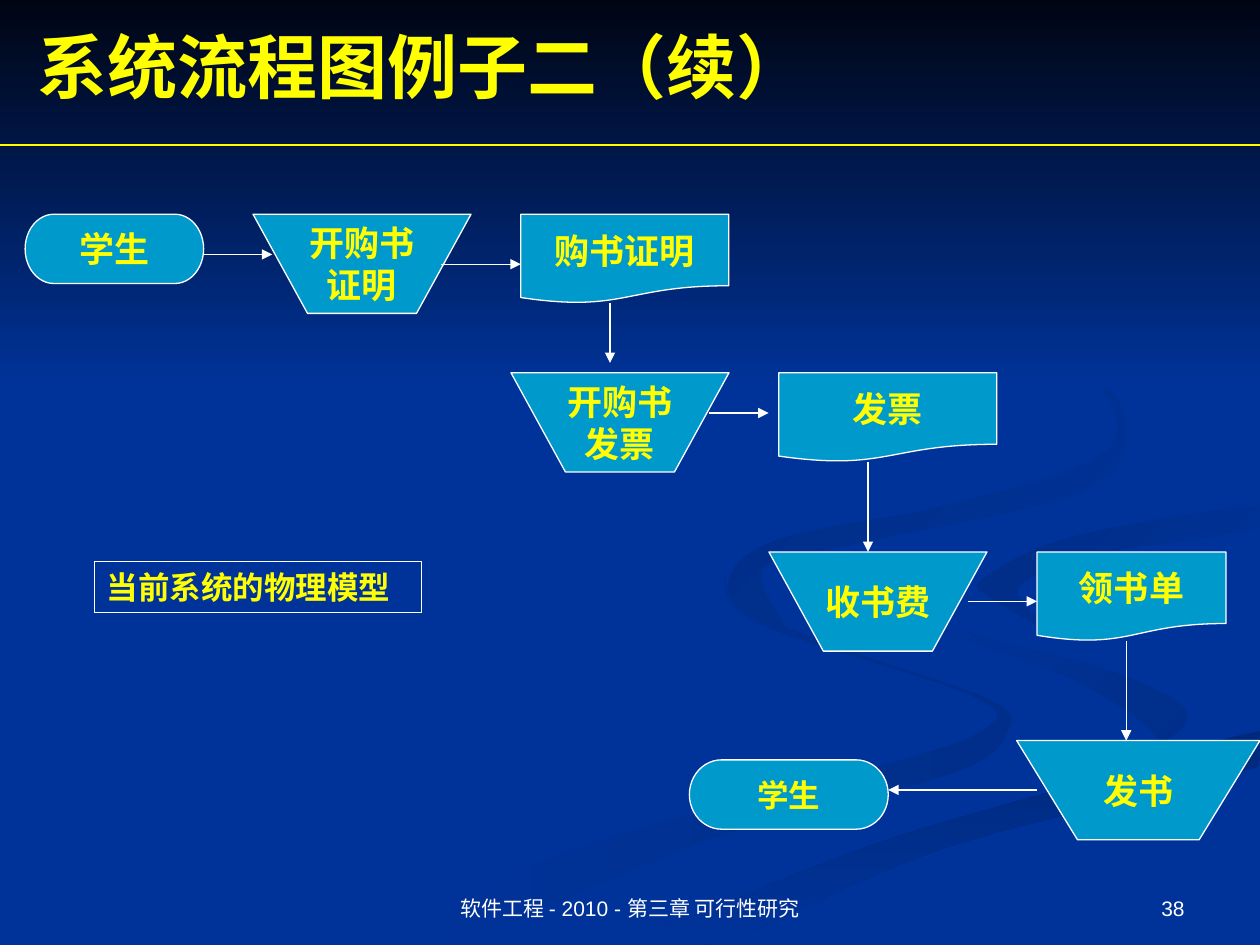
from lxml import etree
from pptx import Presentation
from pptx.dml.color import RGBColor
from pptx.enum.shapes import MSO_CONNECTOR, MSO_SHAPE
from pptx.enum.text import MSO_ANCHOR, PP_ALIGN
from pptx.oxml.ns import qn
from pptx.util import Pt

TERMINATOR = MSO_SHAPE.FLOWCHART_TERMINATOR
DOCUMENT = MSO_SHAPE.FLOWCHART_DOCUMENT
RECTANGLE = MSO_SHAPE.RECTANGLE
STRAIGHT = MSO_CONNECTOR.STRAIGHT
TOP, MIDDLE, BOTTOM = MSO_ANCHOR.TOP, MSO_ANCHOR.MIDDLE, MSO_ANCHOR.BOTTOM
LEFT, CENTER, RIGHT = PP_ALIGN.LEFT, PP_ALIGN.CENTER, PP_ALIGN.RIGHT

COLORS = {
    "background": "003399", "band_top": "000514", "node": "0099CC",
    "text": "FFFF00", "line": "FFFFFF",
    "shade_a": "002E8A", "shade_b": "00297C", "shade_c": "002C85", "shade_d": "002B81",
}
SLIDE_WIDTH, SLIDE_HEIGHT = 720, 540
LINE_WIDTH = 0.75
CURVE_STEPS = 6
ROW_1, ROW_2, ROW_3, ROW_4 = 122.4, 213, 315.4, 423.2
STEP_HEIGHT, DOCUMENT_HEIGHT, TERMINATOR_HEIGHT = 56.7, 51, 39.6

# Background ribbons: first colour, last colour, gradient angle, bends of the outline
RIBBONS = [
    ("shade_a", "background", 180, [
        (414, 330), (428, 349), (491, 374), (566, 400), (576, 418), (544, 442), (406, 479),
        (260, 539), (216, 539), (330, 485), (492, 441), (562, 417), (554, 397), (433, 356)]),
    ("shade_a", "background", 135, [
        (521, 334), (546, 359), (639, 385), (679, 410),
        (644, 436), (661, 421), (615, 389), (532, 356)]),
    ("shade_b", "background", 270, [
        (362, 539), (410, 518), (501, 482), (598, 453),
        (719, 418), (719, 438), (541, 484), (411, 539)]),
    ("background", "shade_c", 135, [
        (562, 331), (612, 307), (719, 289), (719, 302),
        (632, 316), (582, 335), (595, 357), (566, 341)]),
    ("background", "shade_d", 135, [
        (549, 168), (622, 210), (644, 248), (616, 282), (492, 310), (436, 325),
        (448, 360), (416, 337), (443, 309), (549, 287), (635, 255), (616, 205)]),
]

# Flowchart nodes: text, left, top, width
TERMINATORS = [("学生", 14.4, ROW_1, 102, 20), ("学生", 394, 434.2, 113.6, 18)]
STEPS = [
    (["开购书", "证明"], 144.6, ROW_1, 124.6),
    (["开购书", "发票"], 292, ROW_2, 124.6),
    (["收书费"], 439.4, ROW_3, 124.6),
    (["发书"], 581, ROW_4, 139),
]
DOCUMENTS = [
    ("购书证明", 297.6, ROW_1, 118.8),
    ("发票", 445, ROW_2, 124.6),
    ("领书单", 592.6, ROW_3, 108),
]
# Arrows: start x, start y, length (negative runs to the left)
ACROSS = [(116, 145.4, 39.6), (252, 151, 45.6), (405.4, 236, 33.8),
          (553, 343.6, 39.6), (592.6, 451.4, -85)]
DOWN = [(348.6, 173.4, 34), (496, 264, 51.4), (643.6, 366.4, 56.8)]


def rgb(name):
    return RGBColor.from_string(COLORS[name])


def smooth_outline(bends):
    """Closed Catmull-Rom curve through the bends, kept on the slide."""
    points = []
    for index in range(len(bends)):
        corners = [bends[(index + shift) % len(bends)] for shift in (-1, 0, 1, 2)]
        for step in range(CURVE_STEPS):
            t = step / CURVE_STEPS
            x, y = (
                b + t * (c - a + t * (2 * a - 5 * b + 4 * c - d
                                      + t * (3 * (b - c) + d - a))) / 2
                for a, b, c, d in zip(*corners))
            points.append((min(x, SLIDE_WIDTH), min(y, SLIDE_HEIGHT)))
    return points


def add_outline(slide, points):
    vertices = [(Pt(x), Pt(y)) for x, y in points]
    builder = slide.shapes.build_freeform(*vertices[0])
    builder.add_line_segments(vertices[1:], close=True)
    shape = builder.convert_to_shape()
    shape.shadow.inherit = False
    return shape


def add_preset(slide, kind, left, top, width, height):
    shape = slide.shapes.add_shape(kind, Pt(left), Pt(top), Pt(width), Pt(height))
    shape.shadow.inherit = False
    return shape


def fill_gradient(shape, first, last, angle):
    shape.line.fill.background()
    shape.fill.gradient()
    shape.fill.gradient_angle = angle
    for stop, name in zip(shape.fill.gradient_stops, (first, last)):
        stop.color.rgb = rgb(name)


def style_line(line, color="line"):
    line.color.rgb = rgb(color)
    line.width = Pt(LINE_WIDTH)


def write_text(shape, lines, size, align=CENTER, anchor=MIDDLE, wrap=False,
               color="text", name="Times New Roman", bold=True):
    frame = shape.text_frame
    frame.word_wrap = wrap
    frame.vertical_anchor = anchor
    frame.text = "\n".join(lines)
    font_values = {"size": Pt(size), "name": name, "bold": bold}
    for paragraph in frame.paragraphs:
        paragraph.alignment = align
        for run in paragraph.runs:
            for attribute, value in font_values.items():
                setattr(run.font, attribute, value)
            run.font.color.rgb = rgb(color)


def add_text_box(slide, text, left, top, width, height, size, **style):
    box = slide.shapes.add_textbox(Pt(left), Pt(top), Pt(width), Pt(height))
    write_text(box, [text], size, wrap=True, **style)


def style_node(shape, lines, size=20):
    shape.fill.solid()
    shape.fill.fore_color.rgb = rgb("node")
    style_line(shape.line)
    write_text(shape, lines, size)


def add_step(slide, lines, left, top, width):
    inset, right, bottom = width / 4, left + width, top + STEP_HEIGHT
    shape = add_outline(slide, [(left, top), (right, top),
                                (right - inset, bottom), (left + inset, bottom)])
    style_node(shape, lines)


def add_line(slide, x1, y1, x2, y2, color="line", arrow=True):
    connector = slide.shapes.add_connector(STRAIGHT, Pt(x1), Pt(y1), Pt(x2), Pt(y2))
    style_line(connector.line, color)
    properties = connector._element.spPr
    if arrow:
        etree.SubElement(properties.find(qn("a:ln")), qn("a:tailEnd"), type="triangle")
    etree.SubElement(properties, qn("a:effectLst"))


def main():
    presentation = Presentation()
    presentation.slide_width, presentation.slide_height = Pt(SLIDE_WIDTH), Pt(SLIDE_HEIGHT)
    slide = presentation.slides.add_slide(presentation.slide_layouts[6])

    # Background with ribbons and a dark band on top
    slide.background.fill.solid()
    slide.background.fill.fore_color.rgb = rgb("background")
    for first, last, angle, bends in RIBBONS:
        fill_gradient(add_outline(slide, smooth_outline(bends)), first, last, angle)
    band = add_preset(slide, RECTANGLE, 0, 0, SLIDE_WIDTH, 221.8)
    fill_gradient(band, "band_top", "background", 270)

    # Title and rule
    add_text_box(slide, "系统流程图例子二（续）", 14.4, 10, 648, 55.4, 40, align=LEFT)
    add_line(slide, 0, 82.8, SLIDE_WIDTH, 82.8, color="text", arrow=False)

    # Flowchart
    for text, left, top, width, size in TERMINATORS:
        shape = add_preset(slide, TERMINATOR, left, top, width, TERMINATOR_HEIGHT)
        style_node(shape, [text], size)
    for step in STEPS:
        add_step(slide, *step)
    for text, left, top, width in DOCUMENTS:
        style_node(add_preset(slide, DOCUMENT, left, top, width, DOCUMENT_HEIGHT), [text])
    for x, y, length in ACROSS:
        add_line(slide, x, y, x + length, y)
    for x, y, length in DOWN:
        add_line(slide, x, y, x, y + length)

    # Caption
    caption = add_preset(slide, RECTANGLE, 54, 321, 187, 29)
    caption.fill.background()
    style_line(caption.line)
    write_text(caption, ["当前系统的物理模型"], 18, align=LEFT, anchor=TOP, wrap=True)

    # Footer and slide number
    footer = {"anchor": BOTTOM, "color": "line", "name": "Arial", "bold": False}
    add_text_box(slide, "软件工程 - 2010 - 第三章 可行性研究", 246, 492, 228, 37.4, 12, **footer)
    add_text_box(slide, "38", 516, 492, 168, 37.4, 12, align=RIGHT, **footer)

    presentation.save("out.pptx")


if __name__ == "__main__":
    main()
